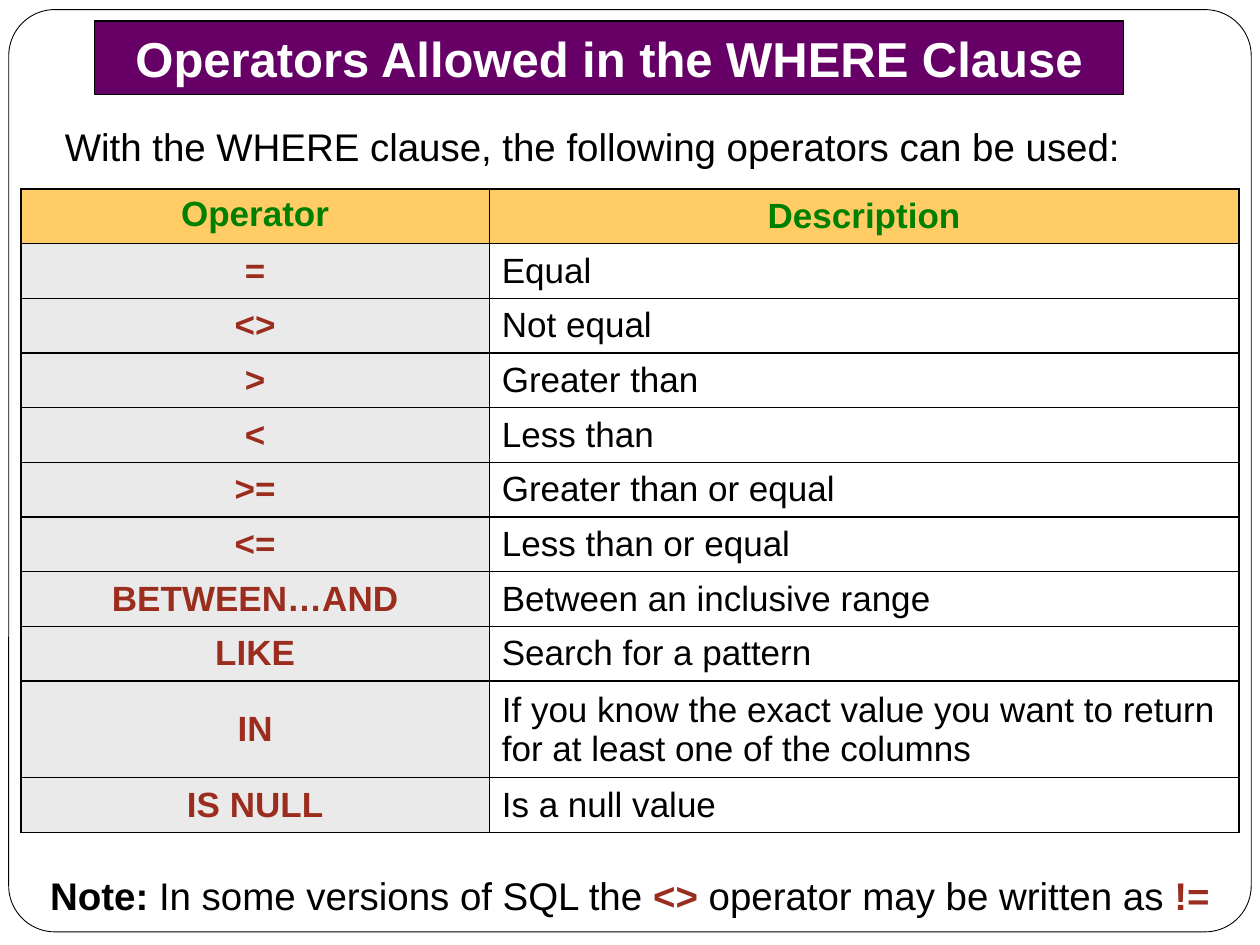
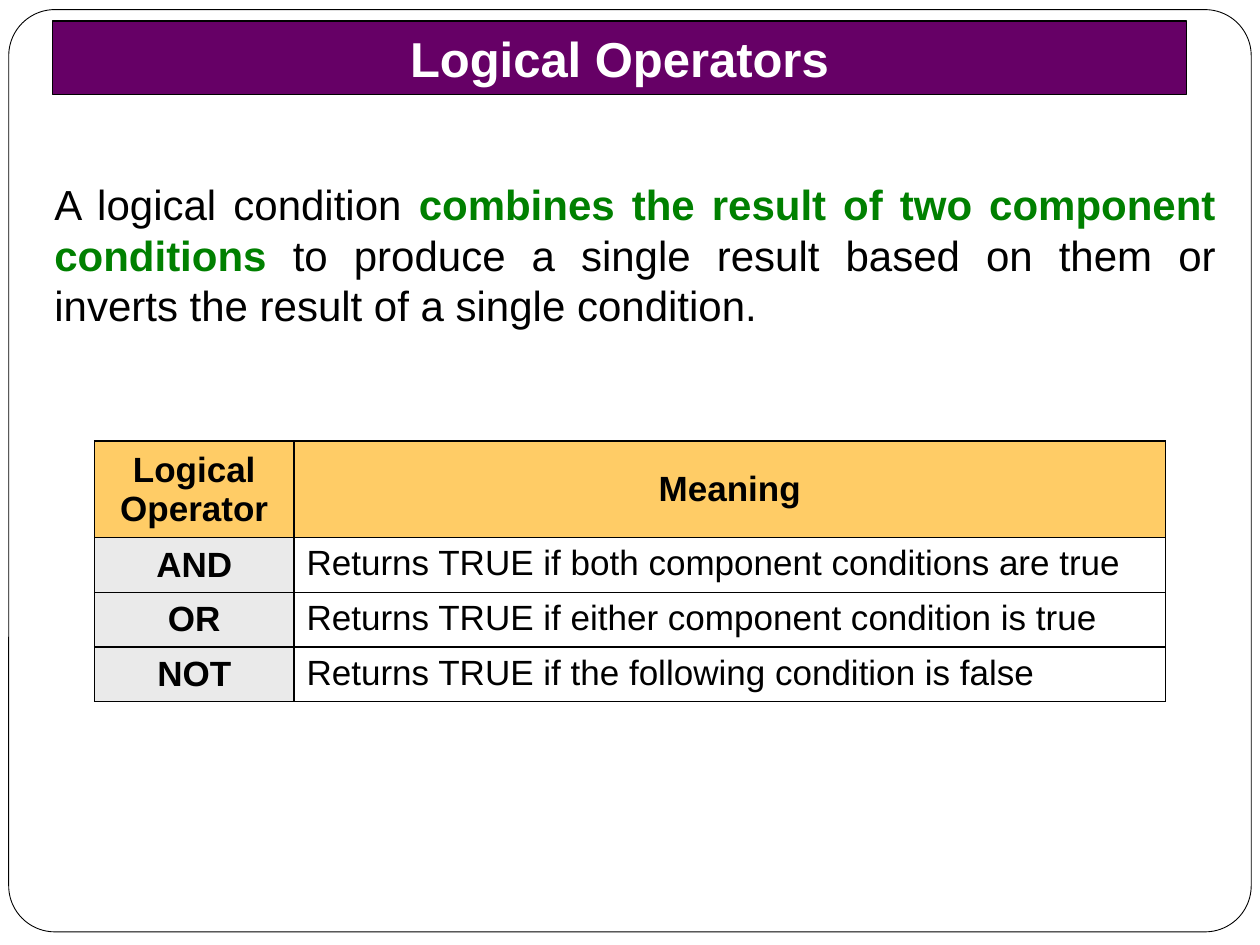
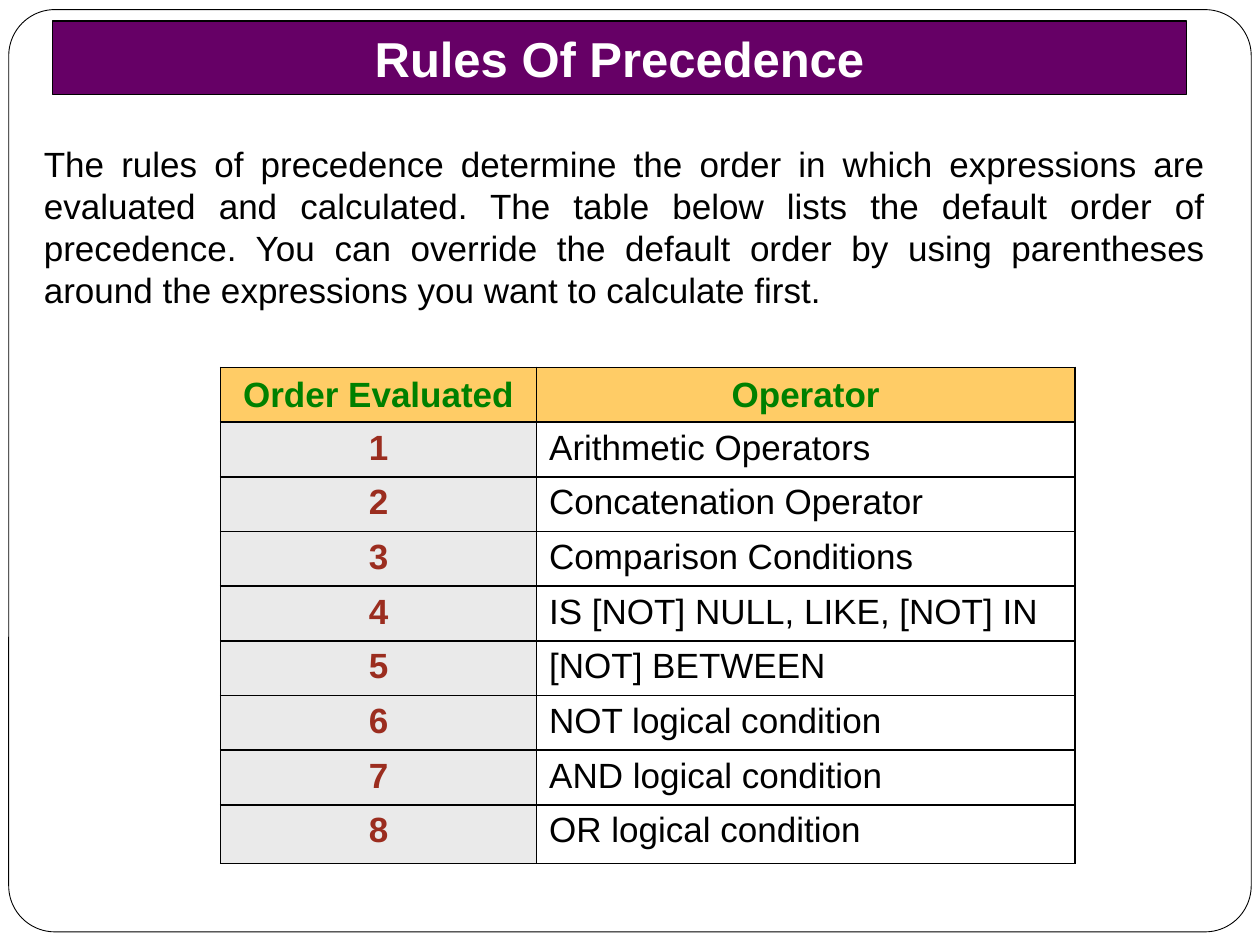
from lxml import etree
from pptx import Presentation
from pptx.dml.color import RGBColor
from pptx.enum import shapes, text
from pptx.oxml import ns
from pptx.util import Pt

FONT = "Arial"
BLACK, WHITE = "000000", "FFFFFF"
PURPLE, GREEN, RED = "660066", "008000", "9B2D1F"
HEAD_FILL, KEY_FILL = "FFCC66", "EAEAEA"
ROW, TALL_ROW = 31.25, 55.1
LEFT, CENTER, JUSTIFY = text.PP_ALIGN.LEFT, text.PP_ALIGN.CENTER, text.PP_ALIGN.JUSTIFY
TOP, MIDDLE = text.MSO_ANCHOR.TOP, text.MSO_ANCHOR.MIDDLE


def rgb(value):
    """Turn a hex string into a colour."""
    return RGBColor.from_string(value)


def write(tf, runs, size, align=LEFT):
    """Write (text, colour, bold) runs into the first paragraph and return it."""
    p = tf.paragraphs[0]
    p.alignment = align
    for words, color, bold in runs:
        r = p.add_run()
        r.text = words
        r.font.name = FONT
        r.font.size = Pt(size)
        r.font.bold = bold
        r.font.color.rgb = rgb(color)
    return p


def add_box(s, kind, box, fill, line_width):
    """Add a filled shape with a black outline."""
    sp = s.shapes.add_shape(kind, *map(Pt, box))
    sp.shadow.inherit = False
    sp.fill.solid()
    sp.fill.fore_color.rgb = rgb(fill)
    sp.line.color.rgb = rgb(BLACK)
    sp.line.width = Pt(line_width)
    return sp


def add_titled_slide(prs, title, left=30, width=648):
    """Add a slide with the rounded frame and the title band."""
    s = prs.slides.add_slide(prs.slide_layouts[6])
    frame = add_box(s, shapes.MSO_SHAPE.ROUNDED_RECTANGLE, (5, 5.5, 710, 527), WHITE, 0.5)
    frame.adjustments[0] = 0.05
    band = add_box(s, shapes.MSO_SHAPE.RECTANGLE, (left, 12, width, 42), PURPLE, 0.75)
    band.text_frame.vertical_anchor = MIDDLE
    write(band.text_frame, [(title, WHITE, True)], 28, CENTER)
    return s


def add_text(s, box, runs, size, align=LEFT, wrap=True):
    """Add a vertically centred text box."""
    tf = s.shapes.add_textbox(*map(Pt, box)).text_frame
    tf.word_wrap = wrap
    tf.vertical_anchor = MIDDLE
    write(tf, runs, size, align).line_spacing = Pt(1.2 * size)


def set_borders(cell, width):
    """Draw a black line on all four sides of a cell."""
    tc_pr = cell._tc.get_or_add_tcPr()
    for i, side in enumerate(("lnL", "lnR", "lnT", "lnB")):
        ln = etree.Element(ns.qn(f"a:{side}"), w=str(Pt(width)))
        fill = etree.SubElement(ln, ns.qn("a:solidFill"))
        etree.SubElement(fill, ns.qn("a:srgbClr"), val=BLACK)
        tc_pr.insert(i, ln)


def add_grid(s, left, top, widths, heights, rows, border, head_color=GREEN,
             key_color=RED, head_anchor=MIDDLE, key_anchor=MIDDLE, value_anchor=TOP):
    """Add a two-column table with a header row and a shaded key column."""
    size = (Pt(v) for v in (left, top, sum(widths), sum(heights)))
    table = s.shapes.add_table(len(rows), len(widths), *size).table
    table.first_row = table.horz_banding = False
    for column, width in zip(table.columns, widths):
        column.width = Pt(width)
    head = ((head_color, True, CENTER, HEAD_FILL, head_anchor),
            (head_color, True, CENTER, HEAD_FILL, MIDDLE))
    body = ((key_color, True, CENTER, KEY_FILL, key_anchor),
            (BLACK, False, LEFT, None, value_anchor))
    for i, (row, height) in enumerate(zip(rows, heights)):
        table.rows[i].height = Pt(height)
        for j, (words, style) in enumerate(zip(row, body if i else head)):
            color, bold, align, fill, anchor = style
            cell = table.cell(i, j)
            cell.vertical_anchor = anchor
            if fill:
                cell.fill.solid()
                cell.fill.fore_color.rgb = rgb(fill)
            else:
                cell.fill.background()
            set_borders(cell, border)
            write(cell.text_frame, [(words, color, bold)], 20, align)


def add_where_slide(prs):
    """List the operators of the WHERE clause."""
    s = add_titled_slide(prs, "Operators Allowed in the WHERE Clause", 54, 588)
    add_text(s, (30, 66.5, 619, 34), [
        ("With the WHERE clause, the following operators can be used:", BLACK, False),
    ], 22, wrap=False)
    rows = [
        ("Operator", "Description"),
        ("=", "Equal"),
        ("<>", "Not equal"),
        (">", "Greater than"),
        ("<", "Less than"),
        (">=", "Greater than or equal"),
        ("<=", "Less than or equal"),
        ("BETWEEN…AND", "Between an inclusive range"),
        ("LIKE", "Search for a pattern"),
        ("IN", "If you know the exact value you want to return "
               "for at least one of the columns"),
        ("IS NULL", "Is a null value"),
    ]
    heights = [TALL_ROW if key == "IN" else ROW for key, _ in rows]
    add_grid(s, 12, 108, (267.6, 428.4), heights, rows, 0.75,
             head_anchor=TOP, value_anchor=MIDDLE)
    add_text(s, (21.6, 494.5, 680.4, 34), [
        ("Note:", BLACK, True),
        (" In some versions of SQL the ", BLACK, False),
        ("<>", RED, True),
        (" operator may be written as ", BLACK, False),
        ("!=", RED, True),
    ], 22, wrap=False)


def add_logical_slide(prs):
    """Explain the logical operators."""
    s = add_titled_slide(prs, "Logical Operators")
    add_text(s, (24, 98.5, 678, 93.6), [
        ("A logical condition ", BLACK, False),
        ("combines the result of two component conditions", GREEN, True),
        (" to produce a single result based on them or inverts the result "
         "of a single condition.", BLACK, False),
    ], 24, JUSTIFY)
    rows = [
        ("Logical Operator", "Meaning"),
        ("AND", "Returns TRUE if both component conditions are true"),
        ("OR", "Returns TRUE if either component condition is true"),
        ("NOT", "Returns TRUE if the following condition is false"),
    ]
    add_grid(s, 54, 252, (114, 498), [TALL_ROW] + [ROW] * 3, rows, 1,
             head_color=BLACK, key_color=BLACK)


def add_precedence_slide(prs):
    """Show the order in which operators are evaluated."""
    s = add_titled_slide(prs, "Rules Of Precedence")
    add_text(s, (18, 78, 678, 103), [
        ("The rules of precedence determine the order in which expressions are "
         "evaluated and calculated. The table below lists the default order of "
         "precedence. You can override the default order by using parentheses "
         "around the expressions you want to calculate first.", BLACK, False),
    ], 20, JUSTIFY)
    operators = [
        "Arithmetic Operators",
        "Concatenation Operator",
        "Comparison Conditions",
        "IS [NOT] NULL, LIKE, [NOT] IN",
        "[NOT] BETWEEN",
        "NOT logical condition",
        "AND logical condition",
        "OR logical condition",
    ]
    rows = [("Order Evaluated", "Operator")]
    rows += [(str(n), name) for n, name in enumerate(operators, 1)]
    add_grid(s, 126, 210, (180.6, 307.6), [ROW] * 8 + [33.6], rows, 1, key_anchor=TOP)


def main():
    """Build the three slides and save them."""
    prs = Presentation()
    prs.slide_width, prs.slide_height = Pt(720), Pt(540)
    add_where_slide(prs)
    add_logical_slide(prs)
    add_precedence_slide(prs)
    prs.save("out.pptx")


if __name__ == "__main__":
    main()
